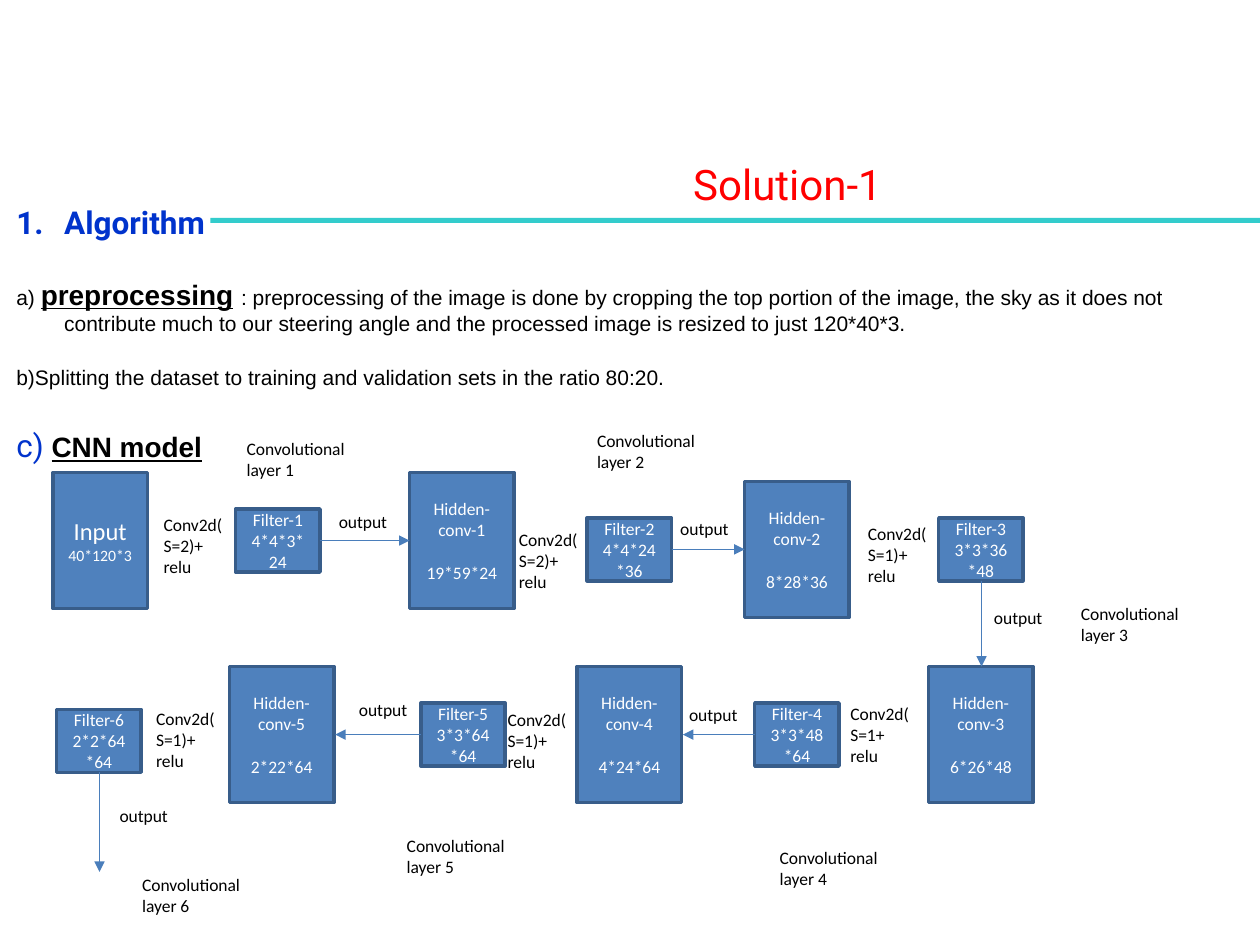
from dataclasses import dataclass

from lxml.etree import SubElement as Sub
from pptx import Presentation
from pptx.dml.color import RGBColor as RGB
from pptx.enum.shapes import MSO_CONNECTOR as Link, MSO_SHAPE as Shape
from pptx.enum.text import MSO_ANCHOR as Anchor, MSO_AUTO_SIZE as Fit, PP_ALIGN as Align
from pptx.oxml.ns import qn
from pptx.util import Inches, Pt


@dataclass(frozen=True)
class Theme:
    red: str = "FF0000"
    blue: str = "0033CC"
    teal: str = "33CCCC"
    black: str = "000000"
    white: str = "FFFFFF"
    fill: str = "4F81BD"
    edge: str = "385D8A"
    arrow: str = "4A7EBB"
    head: str = "Roboto"
    body: str = "Arial"
    label: str = "Calibri"
    title: int = 24
    large: int = 18
    mid: int = 16
    input: int = 14
    text: int = 12
    small: int = 10
    tiny: int = 9


class Deck:
    """Draws styled elements on the current slide."""

    def __init__(self, theme):
        self.theme = theme
        self.show = Presentation()
        self.show.slide_width, self.show.slide_height = Inches(10), Inches(7.5)
        self.slide = self.show.slides.add_slide(self.show.slide_layouts[5])

    def run(self, para, text, size, color, face, strong=False, under=False):
        run = para.add_run()
        run.text = text
        font = run.font
        font.size, font.name = Pt(size), face
        font.bold, font.underline = strong, under
        font.color.rgb = RGB.from_string(color)

    def para(self, frame, first, gap=0):
        para = frame.paragraphs[0] if first else frame.add_paragraph()
        para.space_before = Pt(gap)
        return para

    def bare(self, frame):
        frame.margin_left = frame.margin_right = 0
        frame.margin_top = frame.margin_bottom = 0
        frame.vertical_anchor = Anchor.TOP
        frame.word_wrap = True

    def title(self, text, *area):
        hold = self.slide.shapes.title
        hold.left, hold.top, hold.width, hold.height = map(Inches, area)
        frame = hold.text_frame
        self.bare(frame)
        frame.auto_size = Fit.NONE
        para = self.para(frame, True)
        para.alignment = Align.CENTER
        self.run(para, text, self.theme.title, self.theme.red, self.theme.head)

    def bar(self, *area):
        bar = self.slide.shapes.add_shape(Shape.RECTANGLE, *map(Inches, area))
        bar.shadow.inherit = False
        bar.fill.solid()
        bar.fill.fore_color.rgb = RGB.from_string(self.theme.teal)
        bar.line.fill.background()

    def prose(self, items, *area):
        box = self.slide.shapes.add_textbox(*map(Inches, area))
        frame = box.text_frame
        self.bare(frame)
        for i, (gap, runs) in enumerate(items):
            para = self.para(frame, i == 0, gap)
            props = para._p.get_or_add_pPr()
            props.set("marL", str(Inches(0.38)))
            props.set("indent", str(Inches(-0.38)))
            if i == 0:
                tint = Sub(props, qn("a:buClr"))
                Sub(tint, qn("a:srgbClr"), val=self.theme.blue)
                Sub(props, qn("a:buFont"), typeface=self.theme.head)
                Sub(props, qn("a:buAutoNum"), type="arabicPeriod")
            for run in runs:
                self.run(para, *run)

    def block(self, lines, *area):
        box = self.slide.shapes.add_shape(Shape.RECTANGLE, *map(Inches, area))
        box.shadow.inherit = False
        box.fill.solid()
        box.fill.fore_color.rgb = RGB.from_string(self.theme.fill)
        box.line.color.rgb = RGB.from_string(self.theme.edge)
        box.line.width = Pt(2)
        frame = box.text_frame
        frame.word_wrap, frame.vertical_anchor = True, Anchor.MIDDLE
        for i, (text, size, gap) in enumerate(lines):
            para = self.para(frame, i == 0, gap)
            para.alignment = Align.CENTER
            self.run(para, text, size, self.theme.white, self.theme.label)

    def label(self, lines, *area):
        box = self.slide.shapes.add_textbox(*map(Inches, area))
        frame = box.text_frame
        frame.word_wrap, frame.auto_size = True, Fit.SHAPE_TO_FIT_TEXT
        for i, text in enumerate(lines):
            para = self.para(frame, i == 0)
            self.run(para, text, self.theme.small, self.theme.black, self.theme.label)

    def arrow(self, *ends):
        link = self.slide.shapes.add_connector(Link.STRAIGHT, *map(Inches, ends))
        link.line.color.rgb = RGB.from_string(self.theme.arrow)
        link.line.width = Pt(0.75)
        Sub(link.line._get_or_add_ln(), qn("a:tailEnd"), type="triangle")
        Sub(link._element.spPr, qn("a:effectLst"))

    def filter(self, num, size, left, mid):
        small = self.theme.small
        lines = [(f"Filter-{num}", small, 0), (size, small, 0)]
        self.block(lines, left, mid - 0.25, 0.67, 0.5)

    def hidden(self, num, size, left, mid):
        small = self.theme.small
        lines = [(f"Hidden-conv-{num}", small, 0), (size, small, 12.2)]
        self.block(lines, left, mid - 0.54, 0.83, 1.08)


FILTERS = [
    ("4*4*3*24", 1.87, 4.29), ("4*4*24*36", 4.66, 4.36), ("3*3*36*48", 7.45, 4.36),
    ("3*3*48*64", 5.99, 5.83), ("3*3*64*64", 3.34, 5.83), ("2*2*64*64", 0.45, 5.88),
]
HIDDEN = [
    ("19*59*24", 3.25, 4.29), ("8*28*36", 5.91, 4.36), ("6*26*48", 7.37, 5.83),
    ("4*24*64", 4.58, 5.83), ("2*22*64", 1.82, 5.83),
]
CALLS = [
    ("Conv2d(S=2)+", 1.2, 4.03), ("Conv2d(S=2)+", 4.02, 4.15), ("Conv2d(S=1)+", 6.79, 4.1),
    ("Conv2d(S=1+", 6.65, 5.53), ("Conv2d(S=1)+", 3.93, 5.58), ("Conv2d(S=1)+", 1.14, 5.57),
]
OUTPUTS = [(2.59, 4.01), (5.3, 4.06), (7.79, 4.77), (5.37, 5.54), (2.75, 5.5), (0.85, 6.34)]
LAYERS = [(1.86, 3.43), (4.64, 3.36), (8.48, 4.74), (6.09, 6.67), (3.13, 6.58), (1.03, 6.89)]
ARROWS = [
    (2.54, 4.29, 3.25, 4.29), (5.33, 4.36, 5.91, 4.36), (7.79, 4.61, 7.79, 5.29),
    (5.99, 5.83, 5.42, 5.83), (3.34, 5.83, 2.66, 5.83), (0.79, 6.13, 0.79, 6.92),
]


def main():
    look = Theme()
    deck = Deck(look)
    plain = (look.text, look.black, look.body)
    strong = (look.mid, look.black, look.body, True, True)
    deck.bar(1.67, 1.73, 8.33, 0.04)
    deck.title("Solution-1", 2.59, 1.26, 7.32, 0.4)
    deck.prose([
        (0, [("Algorithm", look.large, look.blue, look.head, True)]),
        (21, [
            ("a) ", *plain),
            ("preprocessing", *strong),
            (" ", look.mid, look.black, look.body),
            (": preprocessing of the image is done by cropping the top portion of the image, "
             "the sky as it does not contribute much to our steering angle and the processed "
             "image is resized to just 120*40*3.", *plain),
        ]),
        (16, [("b)Splitting the dataset to training and validation sets in the ratio 80:20.",
               *plain)]),
        (21, [("c) ", look.large, look.blue, look.head), ("CNN model", *strong)]),
    ], 0.13, 1.61, 9.24, 2.99)
    deck.block([("Input", look.input, 0), ("40*120*3", look.tiny, 0)], 0.42, 3.75, 0.75, 1.08)
    for num, item in enumerate(FILTERS, 1):
        deck.filter(num, *item)
    for num, item in enumerate(HIDDEN, 1):
        deck.hidden(num, *item)
    for ends in ARROWS:
        deck.arrow(*ends)
    for call, left, top in CALLS:
        deck.label([call, "relu"], left, top, 0.72, 0.6)
    for spot in OUTPUTS:
        deck.label(["output"], *spot, 0.72, 0.27)
    for num, spot in enumerate(LAYERS, 1):
        deck.label([f"Convolutional layer {num}"], *spot, 1.26, 0.44)
    deck.show.save("out.pptx")


if __name__ == "__main__":
    main()
